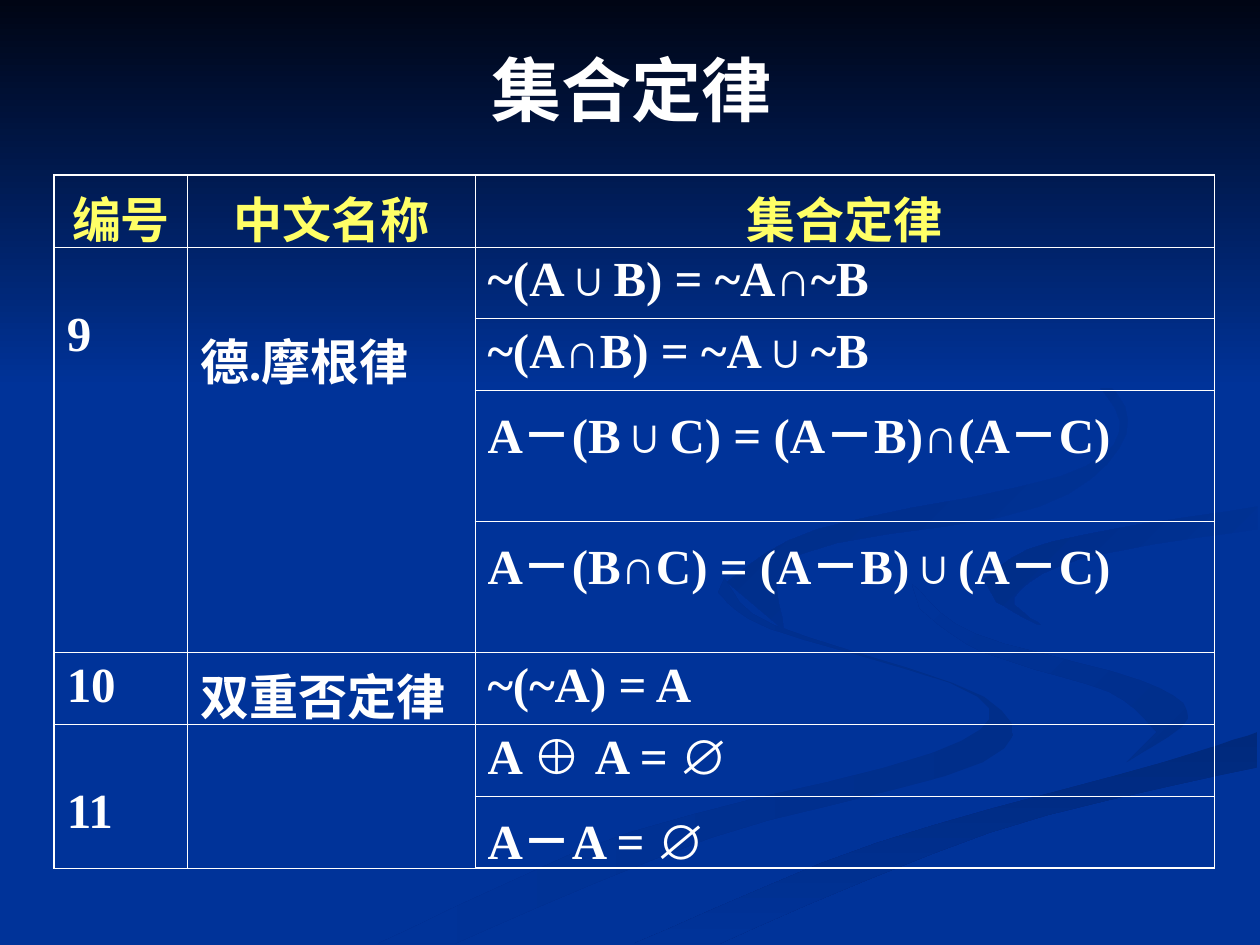
from lxml import etree
from pptx import Presentation
from pptx.dml.color import RGBColor
from pptx.enum.text import MSO_ANCHOR, PP_ALIGN
from pptx.oxml.ns import qn
from pptx.util import Inches, Pt

CENTER, LEFT = PP_ALIGN.CENTER, PP_ALIGN.LEFT
MIDDLE = MSO_ANCHOR.MIDDLE

WHITE = RGBColor(0xFF, 0xFF, 0xFF)
YELLOW = RGBColor(0xFF, 0xFF, 0x66)
BLUE = RGBColor(0x00, 0x33, 0x99)
NIGHT = RGBColor(0x00, 0x05, 0x14)
SHADE = RGBColor(0x00, 0x2E, 0x8A)
DEEP = RGBColor(0x00, 0x29, 0x7C)
DIM = RGBColor(0x00, 0x2C, 0x85)
DUSK = RGBColor(0x00, 0x2B, 0x81)

SERIF, SANS = "Times New Roman", "Arial"
THIN, THICK = 0.45, 1.08
CURVE_STEPS = 5

# Ribbons: start colour, end colour, clockwise angle, and the two edges
# as control points in inches; each edge is drawn as a smooth curve
RIBBONS = [
    (SHADE, BLUE, 180,
     [(5.75, 4.59), (6.14, 4.96), (7.81, 5.53), (7.8, 6.05), (5.64, 6.65), (3.61, 7.49)],
     [(3, 7.49), (4.99, 6.61), (7.39, 5.98), (7.76, 5.53), (6.11, 4.99), (5.7, 4.7)]),
    (SHADE, BLUE, 225,
     [(7.24, 4.64), (7.74, 5.03), (9.05, 5.4), (9.43, 5.7), (8.94, 6.05)],
     [(9.18, 5.81), (8.8, 5.49), (7.81, 5.18), (7.3, 4.83)]),
    (DEEP, BLUE, 90,
     [(5.03, 7.49), (6.96, 6.69), (9.2, 6.06), (9.98, 5.81)],
     [(9.98, 6.09), (7.85, 6.61), (5.71, 7.49)]),
    (BLUE, DIM, 225,
     [(7.81, 4.6), (8.35, 4.3), (9.98, 4.02)],
     [(9.98, 4.2), (8.59, 4.43), (8.05, 4.74), (8.26, 4.96), (7.91, 4.78)]),
    (BLUE, DUSK, 225,
     [(7.62, 2.33), (8.64, 2.91), (8.94, 3.44), (8.25, 4.02), (6.35, 4.4), (6.22, 5)],
     [(5.77, 4.62), (6.49, 4.2), (8.42, 3.78), (8.89, 3.35), (8.46, 2.79)]),
]

HEADINGS = ["编号", "中文名称", "集合定律"]
COLUMN_WIDTHS = [1.06, 2.28, 5.87]
LOW, TALL = 0.57, 1.04
ROW_HEIGHTS = [LOW] * 3 + [TALL] * 2 + [LOW] * 3
# Number, name, line spacing, and the laws, each a list of (text, font)
LAW_GROUPS = [
    ("9", "德.摩根律", 2.0, [
        [("~(A∪B) = ~A∩~B", SERIF)],
        [("~(A∩B) = ~A∪~B", SERIF)],
        [("A－(B∪C) = (A－B)∩(A－C)", SERIF)],
        [("A－(B∩C) = (A－B)∪(A－C)", SERIF)]]),
    ("10", "双重否定律", 1.0, [[("~(~A) = A", SERIF)]]),
    ("11", "", 2.0, [
        [("A ", SERIF), ("⊕ ", SANS), ("A = ", SERIF), ("∅", SANS)],
        [("A－A = ", SERIF), ("∅", SANS)]]),
]


def write(frame, runs, size, color, align=LEFT, spacing=1.0):
    paragraph = frame.paragraphs[0]
    paragraph.alignment = align
    paragraph.line_spacing = spacing
    for text, face in runs:
        run = paragraph.add_run()
        run.text = text
        run.font.color.rgb = color
        for key, value in dict(name=face, size=Pt(size), bold=True).items():
            setattr(run.font, key, value)


def smooth(points):
    """Return points along a Catmull-Rom curve through the given points."""
    padded = [points[0], *points, points[-1]]
    curve = []
    for a, b, c, d in zip(padded, padded[1:], padded[2:], padded[3:]):
        for step in range(CURVE_STEPS):
            t = step / CURVE_STEPS
            curve.append(tuple(
                q + t / 2 * (r - p + t * (2 * p - 5 * q + 4 * r - s
                                          + t * (3 * (q - r) + s - p)))
                for p, q, r, s in zip(a, b, c, d)))
    return curve + [points[-1]]


def paint_gradient(shape, first, last, angle):
    shape.shadow.inherit = False
    shape.line.fill.background()
    shape.fill.gradient()
    shape.fill.gradient_angle = 360 - angle
    for stop, color in zip(shape.fill.gradient_stops, (first, last)):
        stop.color.rgb = color


def draw_backdrop(slide, left, top, width, sky_height):
    slide.background.fill.solid()
    slide.background.fill.fore_color.rgb = BLUE
    for first, last, angle, near_edge, far_edge in RIBBONS:
        outline = [(round(x * 100), round(y * 100))
                   for x, y in smooth(near_edge) + smooth(far_edge)]
        builder = slide.shapes.build_freeform(*outline[0], scale=Inches(0.01))
        builder.add_line_segments(outline[1:], close=True)
        paint_gradient(builder.convert_to_shape(left, top), first, last, angle)

    # Dark sky across the top
    sky = slide.shapes.build_freeform(0, 0, scale=1.0)
    sky.add_line_segments([(0, sky_height), (width, sky_height), (width, 0)], close=True)
    paint_gradient(sky.convert_to_shape(left, top), NIGHT, BLUE, 90)


def draw_title(slide, left, top, width, height):
    frame = slide.shapes.add_textbox(left, top, width, height).text_frame
    frame.word_wrap = True
    frame.vertical_anchor = MIDDLE
    write(frame, [("集合定律", SERIF)], 40, WHITE, CENTER)


def set_borders(cell, widths):
    properties = cell._tc.get_or_add_tcPr()
    for index, (side, width) in enumerate(widths.items()):
        line = etree.Element(qn(f"a:ln{side}"), w=str(Pt(width)))
        fill = etree.SubElement(line, qn("a:solidFill"))
        etree.SubElement(fill, qn("a:srgbClr"), val=str(WHITE))
        properties.insert(index, line)


def draw_laws(slide, left, top, width, height):
    rows, columns = len(ROW_HEIGHTS), len(COLUMN_WIDTHS)
    table = slide.shapes.add_table(rows, columns, left, top, width, height).table
    table.first_row = table.horz_banding = False
    for column, share in zip(table.columns, COLUMN_WIDTHS):
        column.width = int(width * share / sum(COLUMN_WIDTHS))
    for row, share in zip(table.rows, ROW_HEIGHTS):
        row.height = int(height * share / sum(ROW_HEIGHTS))

    # Thin grid with a thicker outer frame
    for r in range(rows):
        for c in range(columns):
            cell = table.cell(r, c)
            cell.fill.background()
            outer = {"L": c == 0, "R": c == columns - 1,
                     "T": r == 0, "B": r == rows - 1}
            set_borders(cell, {side: THICK if edge else THIN
                               for side, edge in outer.items()})

    for c, heading in enumerate(HEADINGS):
        write(table.cell(0, c).text_frame, [(heading, SERIF)], 28, YELLOW, CENTER)

    # Number and name span all the laws of their group
    start = 1
    for number, name, spacing, laws in LAW_GROUPS:
        for c, label in enumerate((number, name)):
            cell = table.cell(start, c)
            if len(laws) > 1:
                cell.merge(table.cell(start + len(laws) - 1, c))
            if label:
                write(cell.text_frame, [(label, SERIF)], 28, WHITE, spacing=spacing)
        for r, law in enumerate(laws, start):
            write(table.cell(r, 2).text_frame, law, 28, WHITE)
        start += len(laws)


def main():
    deck = Presentation()
    deck.slide_width, deck.slide_height = Inches(10), Inches(7.5)
    slide = deck.slides.add_slide(deck.slide_layouts[6])
    draw_backdrop(slide, Inches(0), Inches(0), deck.slide_width, Inches(3.08))
    draw_title(slide, Inches(0.51), Inches(0.36), Inches(9), Inches(0.69))
    draw_laws(slide, Inches(0.43), Inches(1.39), Inches(9.21), Inches(5.5))
    deck.save("out.pptx")


if __name__ == "__main__":
    main()
